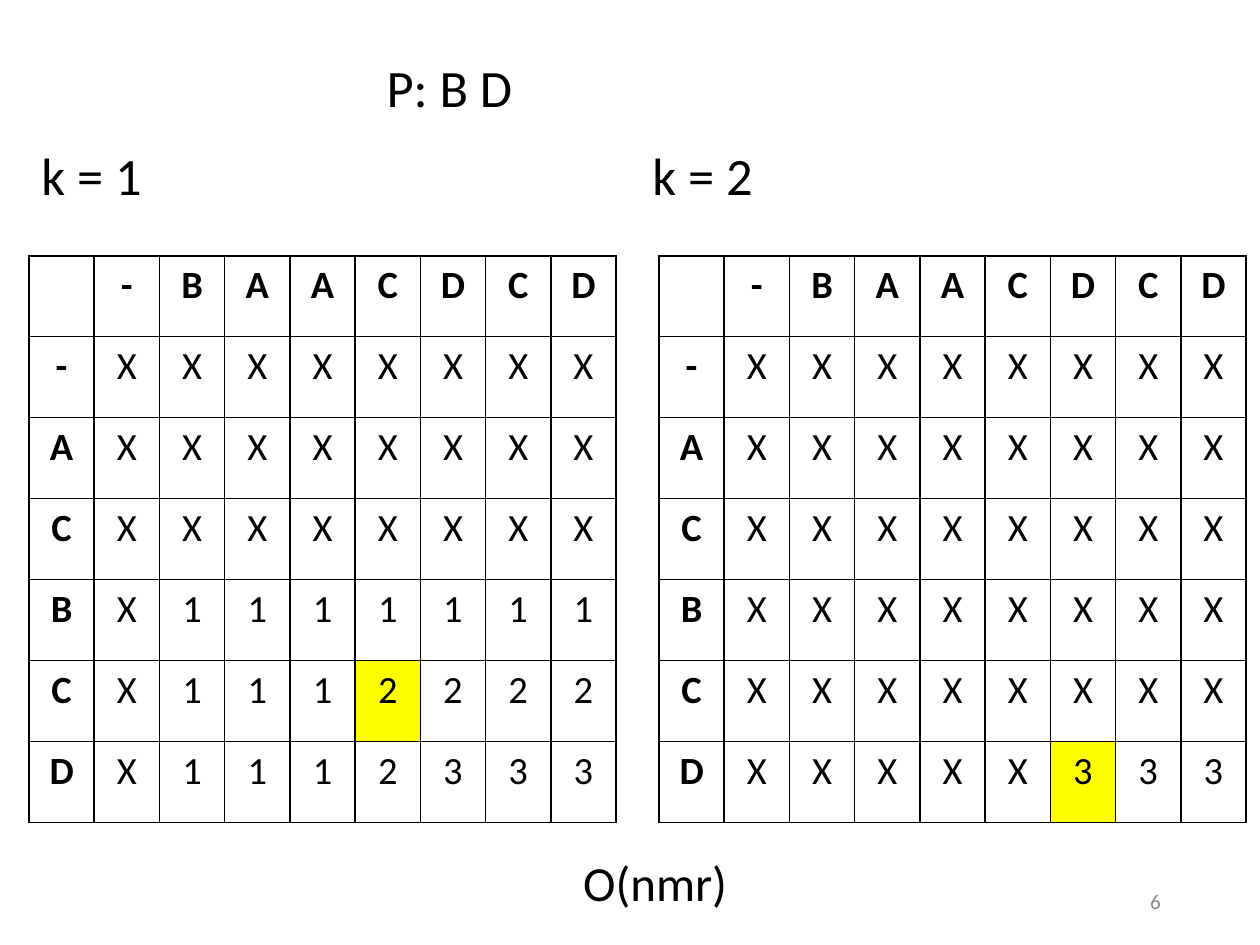
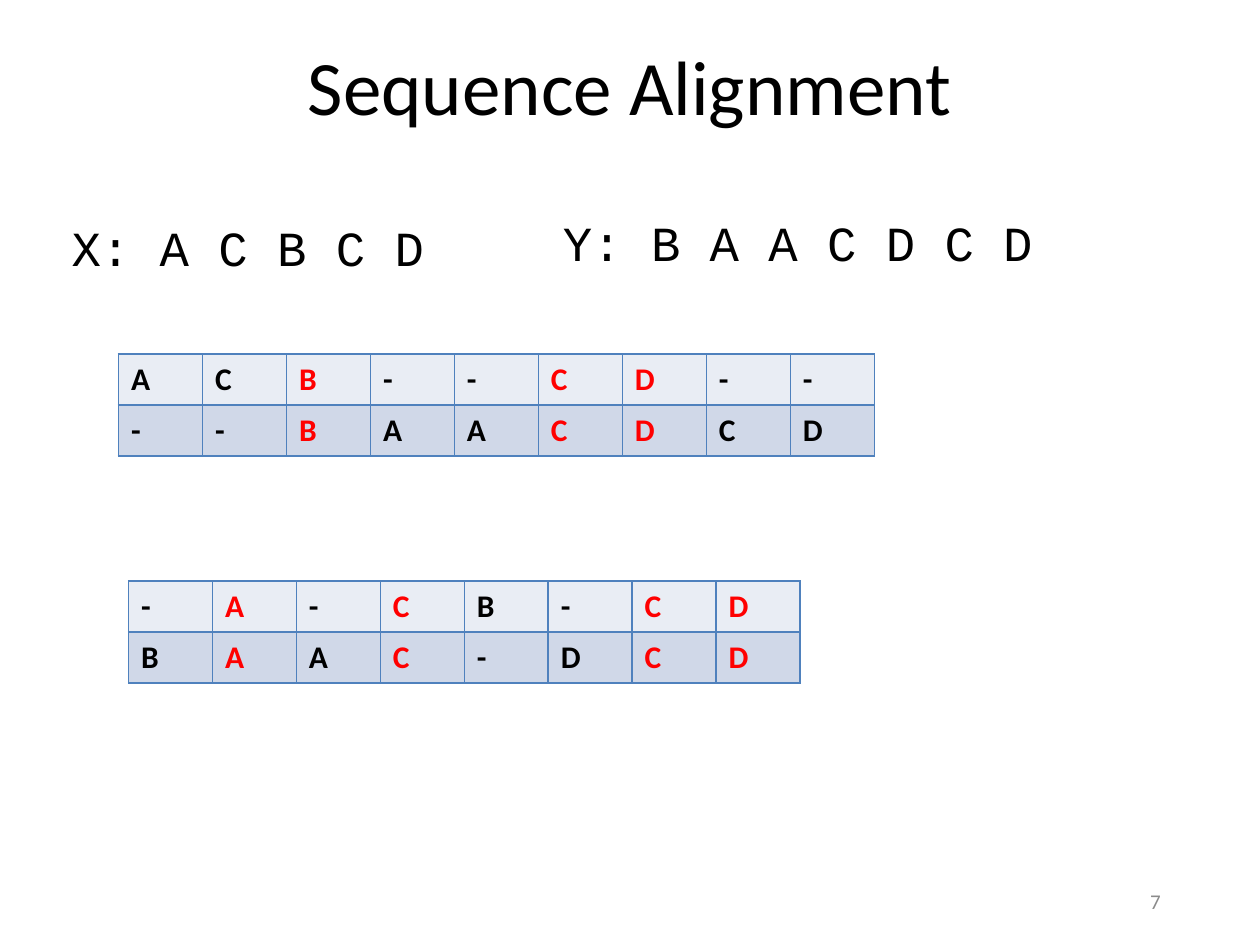
from dataclasses import dataclass

from lxml.etree import SubElement
from pptx import Presentation
from pptx.dml.color import RGBColor
from pptx.enum.text import MSO_ANCHOR as Anchor, PP_ALIGN as Align
from pptx.oxml.ns import qn
from pptx.slide import Slide
from pptx.table import Table, _Cell as Cell
from pptx.text.text import TextFrame
from pptx.util import Emu, Pt

COLORS = {
    "ink": "000000",
    "page_number": "8B8B8B",
    "paper": "FFFFFF",
    "highlight": "FFFF00",
    "match": "FF0000",
    "alignment_border": "4F81BD",
    "x_row": "E9EDF4",
    "y_row": "D0D8E8",
}
BODY_FONT, SEQUENCE_FONT = "Calibri", "Courier New"
EMU_PER_PX = 9144
X, Y = "ACBCD", "BAACDCD"


@dataclass(frozen=True)
class Box:
    left: int
    top: int
    width: int
    height: int

    def emu(self) -> tuple[Emu, ...]:
        """Return the four lengths in EMU."""
        return tuple(px(n) for n in (self.left, self.top, self.width, self.height))


@dataclass(frozen=True)
class Label:
    text: str
    box: Box
    size: int
    font: str = BODY_FONT
    wrap: bool = True


@dataclass(frozen=True)
class ScoreMatrix:
    k: int
    left: int
    scores: tuple[str, ...]
    end_of_match: tuple[int, int]


@dataclass(frozen=True)
class Alignment:
    box: Box
    x_row: str
    y_row: str


SCORE_LABELS = (
    Label("P: B D", Box(297, 39, 243, 61), 30),
    Label("O(nmr)", Box(453, 672, 134, 57), 28, wrap=False),
)
MATRICES = (
    ScoreMatrix(1, 23, ("X" * 8,) * 3 + ("X1111111", "X1112222", "X1112333"), (5, 5)),
    ScoreMatrix(2, 523, ("X" * 8,) * 5 + ("XXXXX333",), (6, 6)),
)
SEQUENCE_LABELS = (
    Label("X: " + " ".join(X), Box(47, 168, 302, 57), 28, SEQUENCE_FONT, False),
    Label("Y: " + " ".join(Y), Box(437, 164, 396, 57), 28, SEQUENCE_FONT, False),
)
ALIGNMENTS = (
    Alignment(Box(94, 281, 600, 81), "ACB--CD--", "--BAACDCD"),
    Alignment(Box(102, 461, 533, 81), "-A-CB-CD", "BAAC-DCD"),
)


def px(length: int) -> Emu:
    """Turn px into EMU."""
    return Emu(length * EMU_PER_PX)


def write(frame: TextFrame, text: str, *, size: int, font: str = BODY_FONT,
          color: str = "ink", bold: bool = False, align: Align = Align.LEFT,
          spacing: float = 1.0) -> None:
    """Put one formatted paragraph into a text frame."""
    paragraph = frame.paragraphs[0]
    paragraph.alignment = align
    paragraph.line_spacing = spacing
    run = paragraph.add_run()
    run.text = text
    run.font.name = font
    run.font.size = Pt(size)
    run.font.bold = bold
    run.font.color.rgb = RGBColor.from_string(COLORS[color])


def add_frame(slide: Slide, box: Box, wrap: bool = True) -> TextFrame:
    """Add a text box and return its text frame."""
    frame = slide.shapes.add_textbox(*box.emu()).text_frame
    frame.word_wrap = wrap
    return frame


def add_label(slide: Slide, label: Label) -> None:
    """Draw one left-aligned label."""
    write(add_frame(slide, label.box, label.wrap), label.text,
          size=label.size, font=label.font)


def add_page_number(slide: Slide, number: int) -> None:
    """Draw the page number at the lower right."""
    frame = add_frame(slide, Box(706, 695, 225, 40))
    frame.vertical_anchor = Anchor.MIDDLE
    write(frame, str(number), size=12, color="page_number", align=Align.RIGHT)


def add_grid(slide: Slide, rows: int, columns: int, box: Box) -> Table:
    """Add an evenly divided table without header or banding."""
    table = slide.shapes.add_table(rows, columns, *box.emu()).table
    table.first_row = False
    table.horz_banding = False
    return table


def style_cell(cell: Cell, fill: str, border: str, width: float) -> None:
    """Give a cell its four borders and its fill."""
    properties = cell._tc.get_or_add_tcPr()
    for side in ("a:lnL", "a:lnR", "a:lnT", "a:lnB"):
        line = SubElement(properties, qn(side), w=str(Pt(width)))
        solid = SubElement(line, qn("a:solidFill"))
        SubElement(solid, qn("a:srgbClr"), val=COLORS[border])
    cell.fill.solid()
    cell.fill.fore_color.rgb = RGBColor.from_string(COLORS[fill])


def add_matrix(slide: Slide, matrix: ScoreMatrix) -> None:
    """Draw the scores of X against Y for one k."""
    add_label(slide, Label(f"k = {matrix.k}", Box(matrix.left - (matrix.k - 1) * 15,
                                                  109, 105, 60), 30))
    lines = [" -" + Y] + [name + row for name, row in zip("-" + X[0:], matrix.scores)]
    grid = add_grid(slide, len(lines), len(lines[0]), Box(matrix.left, 203, 466, 450))
    for r, line in enumerate(lines):
        for c, symbol in enumerate(line):
            cell = grid.cell(r, c)
            cell.margin_left = cell.margin_right = px(7)
            fill = "highlight" if (r, c) == matrix.end_of_match else "paper"
            style_cell(cell, fill, "ink", 0.96)
            if symbol.strip():
                write(cell.text_frame, symbol, size=22, bold=r == 0 or c == 0,
                      align=Align.CENTER)


def add_alignment(slide: Slide, alignment: Alignment) -> None:
    """Draw X over Y with the matching letters marked."""
    pairs = list(zip(alignment.x_row, alignment.y_row))
    grid = add_grid(slide, 2, len(pairs), alignment.box)
    for c, pair in enumerate(pairs):
        color = "match" if pair[0] == pair[1] else "ink"
        for r, (letter, fill) in enumerate(zip(pair, ("x_row", "y_row"))):
            cell = grid.cell(r, c)
            style_cell(cell, fill, "alignment_border", 1)
            write(cell.text_frame, letter, size=18, color=color, bold=True)


def build_scores(slide: Slide) -> None:
    """Fill the slide with the score matrices."""
    for label in SCORE_LABELS:
        add_label(slide, label)
    for matrix in MATRICES:
        add_matrix(slide, matrix)


def build_alignments(slide: Slide) -> None:
    """Fill the slide with the sequence alignments."""
    write(add_frame(slide, Box(69, 34, 862, 83)), "Sequence Alignment",
          size=44, align=Align.CENTER, spacing=0.9)
    for label in SEQUENCE_LABELS:
        add_label(slide, label)
    for alignment in ALIGNMENTS:
        add_alignment(slide, alignment)


def main() -> None:
    """Build and save the presentation."""
    deck = Presentation()
    deck.slide_width, deck.slide_height = px(1000), px(750)
    for number, build in enumerate((build_scores, build_alignments), start=6):
        slide = deck.slides.add_slide(deck.slide_layouts[6])
        build(slide)
        add_page_number(slide, number)
    deck.save("out.pptx")


if __name__ == "__main__":
    main()
